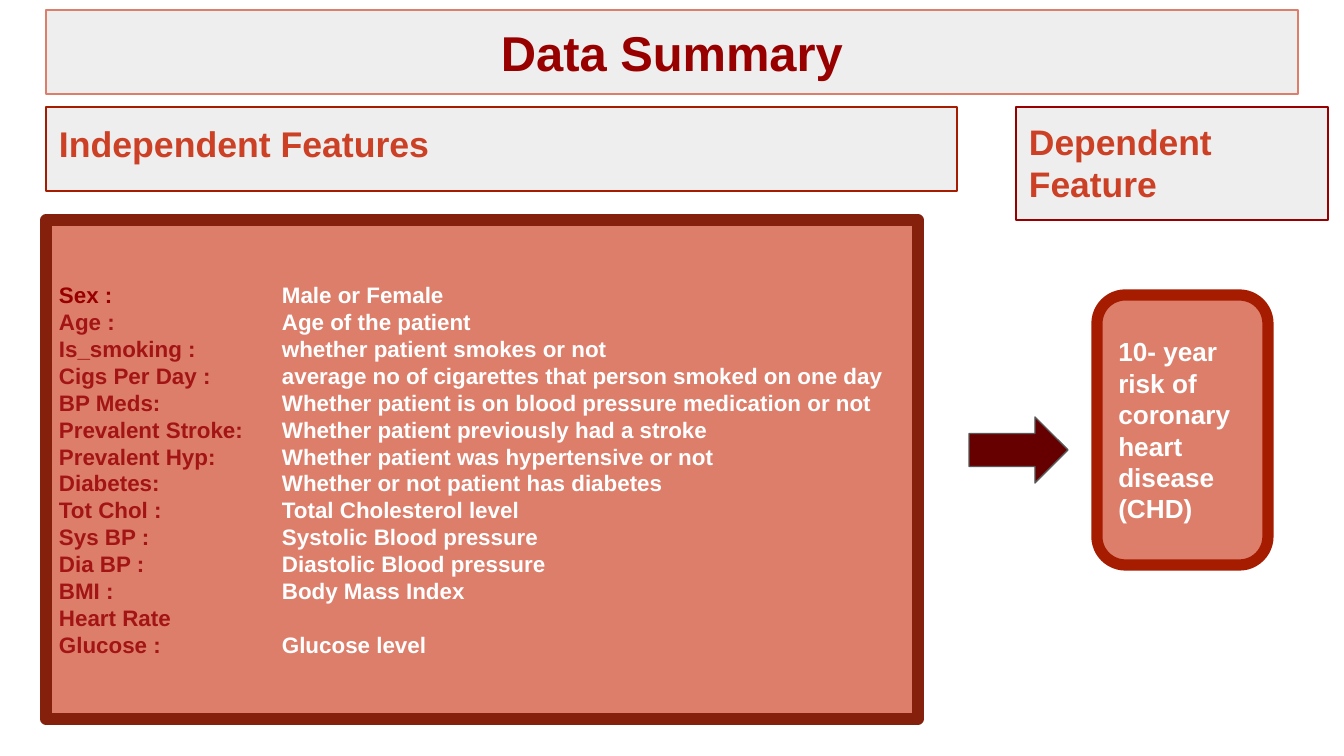
import pptx
import pptx.dml.color
import pptx.enum.shapes
import pptx.enum.text
import pptx.oxml.ns
import pptx.util
import lxml.etree

RGB = pptx.dml.color.RGBColor
SHAPE = pptx.enum.shapes.MSO_SHAPE
ALIGN = pptx.enum.text.PP_ALIGN
ANCHOR = pptx.enum.text.MSO_ANCHOR

GREY = RGB(0xEE, 0xEE, 0xEE)
SALMON = RGB(0xDD, 0x7E, 0x6B)
WHITE = RGB(0xFF, 0xFF, 0xFF)
CRIMSON = RGB(0x98, 0x00, 0x00)
RUST = RGB(0xA6, 0x1C, 0x00)
BROWN = RGB(0x85, 0x20, 0x0C)
ORANGE = RGB(0xCC, 0x41, 0x25)
LABEL_RED = RGB(0xA3, 0x15, 0x15)
MAROON = RGB(0x66, 0x00, 0x00)
SLATE = RGB(0x59, 0x59, 0x59)

FONT = "Arial"
PX_PER_INCH = 134.4
INSET = 13
VALUE_TAB = 223

FEATURES = [
    ("Sex :", "Male or Female"),
    ("Age :", "Age of the patient"),
    ("Is_smoking :", "whether patient smokes or not"),
    ("Cigs Per Day :", "average no of cigarettes that person smoked on one day"),
    ("BP Meds:", "Whether patient is on blood pressure medication or not"),
    ("Prevalent Stroke:", "Whether patient previously had a stroke"),
    ("Prevalent Hyp:", "Whether patient was hypertensive or not"),
    ("Diabetes:", "Whether or not patient has diabetes"),
    ("Tot Chol :", "Total Cholesterol level"),
    ("Sys BP :", "Systolic Blood pressure"),
    ("Dia BP :", "Diastolic Blood pressure"),
    ("BMI :", "Body Mass Index"),
    ("Heart Rate", ""),
    ("Glucose :", "Glucose level"),
]


def px(length):
    return pptx.util.Emu(round(length * 914400 / PX_PER_INCH))


def add_span(para, text, *, size, color, bold=True):
    span = para.add_run()
    span.text = text
    span.font.name = FONT
    span.font.size = pptx.util.Pt(size)
    span.font.bold = bold
    span.font.color.rgb = color


def add_tab_stop(para, position):
    properties = para._p.get_or_add_pPr()
    tabs = lxml.etree.SubElement(properties, pptx.oxml.ns.qn("a:tabLst"))
    lxml.etree.SubElement(
        tabs, pptx.oxml.ns.qn("a:tab"), pos=str(px(position)), algn="l"
    )


class SlideBuilder:
    def __init__(self, deck):
        self.page = deck.slides.add_slide(deck.slide_layouts[6])

    def shape(self, kind, left, top, width, height, *, fill, line, weight=0.75):
        box = self.page.shapes.add_shape(
            kind, px(left), px(top), px(width), px(height)
        )
        box.shadow.inherit = False
        box.fill.solid()
        box.fill.fore_color.rgb = fill
        box.line.color.rgb = line
        box.line.width = pptx.util.Pt(weight)
        lxml.etree.SubElement(box.line._ln, pptx.oxml.ns.qn("a:round"))
        return box

    def frame(self, box, *, anchor=ANCHOR.TOP, top_inset=INSET):
        frame = box.text_frame
        frame.word_wrap = True
        frame.vertical_anchor = anchor
        frame.margin_left = frame.margin_right = frame.margin_bottom = px(INSET)
        frame.margin_top = px(top_inset)
        return frame

    def text(self, box, text, *, size, color, align=ALIGN.LEFT, **layout):
        para = self.frame(box, **layout).paragraphs[0]
        para.alignment = align
        add_span(para, text, size=size, color=color)

    def feature_list(self, box, features, *, size):
        frame = self.frame(box, anchor=ANCHOR.MIDDLE)
        for index, (label, meaning) in enumerate(features):
            para = frame.add_paragraph() if index else frame.paragraphs[0]
            para.alignment = ALIGN.LEFT
            color = LABEL_RED if index else CRIMSON
            add_span(para, label, size=size, color=color)
            if meaning:
                add_tab_stop(para, VALUE_TAB)
                add_span(para, "\t" + meaning, size=size, color=WHITE)


def main():
    deck = pptx.Presentation()
    deck.slide_width = px(1344)
    deck.slide_height = px(756)
    slide = SlideBuilder(deck)

    title = slide.shape(SHAPE.RECTANGLE, 46, 10, 1252, 84, fill=GREY, line=SALMON)
    slide.text(title, "Data Summary", size=26.2, color=CRIMSON, align=ALIGN.CENTER)

    independent = slide.shape(
        SHAPE.RECTANGLE, 46, 107, 911, 84, fill=GREY, line=RUST
    )
    slide.text(
        independent, "Independent Features", size=19.1, color=ORANGE, top_inset=15
    )

    features = slide.shape(
        SHAPE.FLOWCHART_PROCESS, 46, 220, 872, 499,
        fill=SALMON, line=BROWN, weight=6,
    )
    slide.feature_list(features, FEATURES, size=12)

    slide.shape(SHAPE.RIGHT_ARROW, 969, 417, 99, 66, fill=MAROON, line=SLATE)

    dependent = slide.shape(
        SHAPE.RECTANGLE, 1016, 107, 312, 113, fill=GREY, line=CRIMSON
    )
    slide.text(dependent, "Dependent Feature", size=19, color=ORANGE)

    risk = slide.shape(
        SHAPE.ROUNDED_RECTANGLE, 1097, 295, 171, 270,
        fill=SALMON, line=RUST, weight=6,
    )
    slide.text(
        risk, "10- year risk of coronary heart disease (CHD)",
        size=14, color=WHITE, anchor=ANCHOR.MIDDLE,
    )

    deck.save("out.pptx")


if __name__ == "__main__":
    main()
